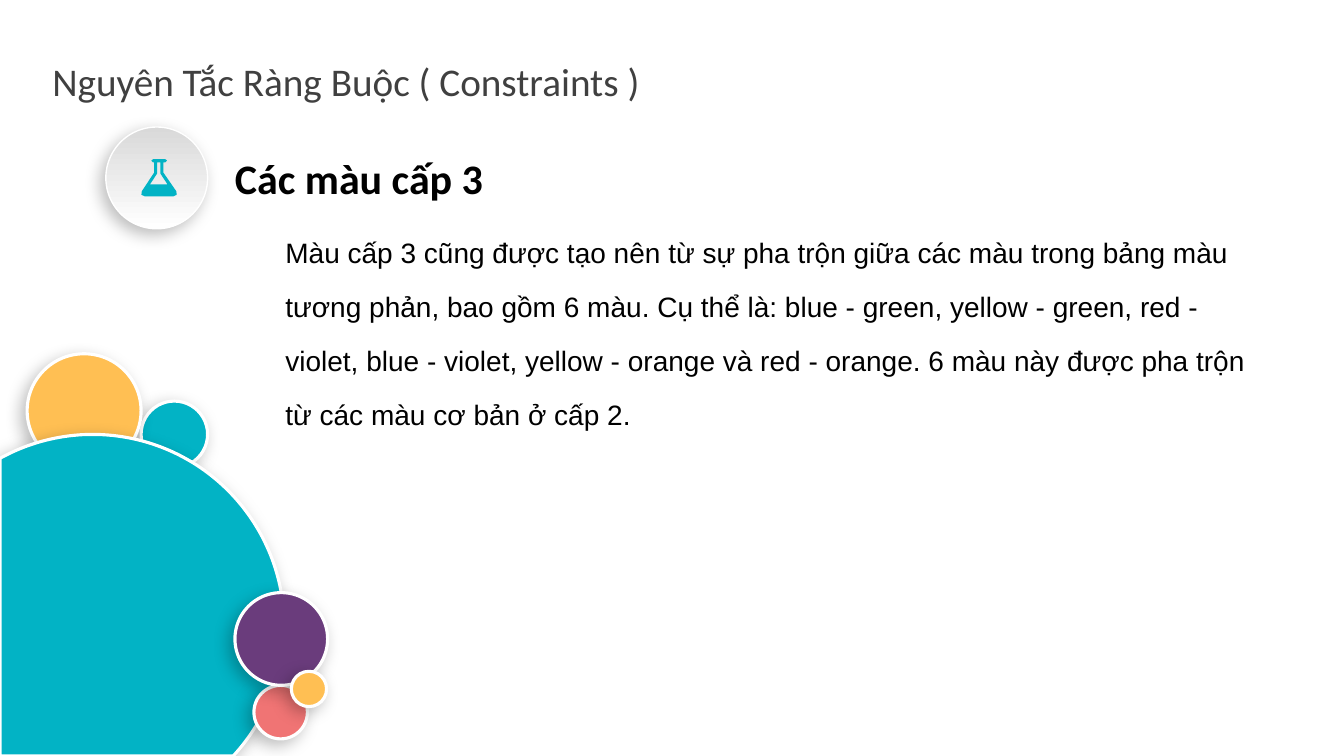
import math
from dataclasses import dataclass

from lxml import etree
from pptx import Presentation
from pptx.dml.color import RGBColor
from pptx.enum.shapes import MSO_SHAPE
from pptx.enum.text import MSO_ANCHOR, MSO_AUTO_SIZE, PP_ALIGN
from pptx.oxml.ns import qn
from pptx.util import Pt

OVAL = MSO_SHAPE.OVAL
TOP = MSO_ANCHOR.TOP
LEFT = PP_ALIGN.LEFT
NO_AUTOFIT = MSO_AUTO_SIZE.NONE
TITLE_AND_CONTENT = 1
SLIDE_W, SLIDE_H = 960, 540


@dataclass(frozen=True)
class Theme:
    """Colours, fonts and type sizes of the slide."""
    teal: str = "02B3C5"
    coral: str = "F07474"
    purple: str = "6A3C7C"
    amber: str = "FFBF53"
    white: str = "FFFFFF"
    silver: str = "D9D9D9"
    charcoal: str = "404040"
    black: str = "000000"
    heading_font: str = "Calibri"
    body_font: str = "Arial"
    title_size: float = 28
    heading_size: float = 30
    body_size: float = 20
    outline: float = 2.25
    thin_outline: float = 1


THEME = Theme()

TITLE = "Nguyên Tắc Ràng Buộc ( Constraints )"
HEADING = "Các màu cấp 3"
BODY = (
    "Màu cấp 3 cũng được tạo nên từ sự pha trộn giữa các màu trong bảng màu "
    "tương phản, bao gồm 6 màu. Cụ thể là: blue - green, yellow - green, "
    "red - violet, blue - violet, yellow - orange và red - orange. 6 màu này "
    "được pha trộn từ các màu cơ bản ở cấp 2."
)

# Flask outline and its hollow, in points from the icon's top left corner
FLASK_BODY = [(8.6, 0), (17.3, 0), (18.5, 1.1), (17.3, 2.3), (15.9, 2.3),
              (15.9, 9.6), (25.2, 23), (25.4, 25.5), (23, 26.6), (2.8, 26.6),
              (0.2, 25.5), (0.5, 23), (9.3, 9.6), (9.3, 2.3), (8.4, 2.3),
              (7.3, 1.1)]
FLASK_HOLLOW = [(6.4, 18), (11.5, 10.2), (11.5, 2.3), (13.7, 2.3),
                (13.7, 10.2), (18.8, 18)]


def color(code):
    """Turn a hex code into a colour."""
    return RGBColor.from_string(code)


def add_shadow(shape):
    """Give a shape a soft shadow towards the lower left."""
    shape.shadow.inherit = False
    effects = shape._element.spPr.find(qn("a:effectLst"))
    shadow = etree.SubElement(
        effects, qn("a:outerShdw"), blurRad=str(Pt(12)), dist=str(Pt(5)),
        dir=str(135 * 60000), algn="tr", rotWithShape="0")
    black = etree.SubElement(shadow, qn("a:srgbClr"), val=THEME.black)
    etree.SubElement(black, qn("a:alpha"), val="26000")


def style_bubble(bubble, fill, outline=THEME.outline):
    """Apply fill, white outline and shadow; a fill of None is left alone."""
    if fill:
        bubble.fill.solid()
        bubble.fill.fore_color.rgb = color(fill)
    bubble.line.color.rgb = color(THEME.white)
    bubble.line.width = Pt(outline)
    add_shadow(bubble)


def add_bubble(slide, left, top, size, fill, outline=THEME.outline):
    """Add a circle with a white outline."""
    bubble = slide.shapes.add_shape(OVAL, Pt(left), Pt(top), Pt(size), Pt(size))
    style_bubble(bubble, fill, outline)
    return bubble


def add_big_disc(slide, left, top, width, height):
    """Add a disc that the left and bottom edges of its box cut off."""
    radius = 136.8
    center_x, center_y = left + width - radius, top + radius
    right, bottom = left + width, top + height
    start = math.atan2(-math.sqrt(radius ** 2 - (left - center_x) ** 2),
                       left - center_x)
    end = math.asin((bottom - center_y) / radius)
    steps = 120
    angles = [start + (end - start) * i / steps for i in range(steps + 1)]
    arc = [(Pt(min(right, center_x + radius * math.cos(a))),
            Pt(center_y + radius * math.sin(a))) for a in angles]
    outline = slide.shapes.build_freeform(Pt(left), Pt(bottom))
    outline.add_line_segments(arc, close=True)
    style_bubble(outline.convert_to_shape(), THEME.teal)


def add_bubble_cluster(slide, left, top):
    """Add the corner decoration, from back to front."""
    add_bubble(slide, left + 100.8, top + 33.8, 47.5, THEME.teal)
    add_bubble(slide, left + 19.4, top, 81.4, THEME.amber)
    disc_top = top + 57.6
    add_big_disc(slide, left, disc_top, 203, SLIDE_H - disc_top)
    for x, y, size, fill in [(181.4, 236.9, 38.2, THEME.coral),
                             (167.8, 170.6, 66.2, THEME.purple),
                             (208.1, 226.8, 25.2, THEME.amber)]:
        add_bubble(slide, left + x, top + y, size, fill)


def add_flask_badge(slide, left, top, size):
    """Add the silver badge with the flask icon."""
    badge = add_bubble(slide, left, top, size, None, THEME.thin_outline)
    badge.fill.gradient()
    badge.fill.gradient_angle = 90
    for stop, position, tone in zip(badge.fill.gradient_stops, (0, 1),
                                    (THEME.white, THEME.silver)):
        stop.position = position
        stop.color.rgb = color(tone)

    def place(points):
        return [(Pt(left + 25.2 + x), Pt(top + 23 + y)) for x, y in points]

    body, hollow = place(FLASK_BODY), place(FLASK_HOLLOW)
    outline = slide.shapes.build_freeform(*body[0])
    outline.add_line_segments(body[1:], close=True)
    outline.move_to(*hollow[0])
    outline.add_line_segments(hollow[1:], close=True)
    flask = outline.convert_to_shape()
    flask.fill.solid()
    flask.fill.fore_color.rgb = color(THEME.teal)
    flask.line.fill.background()
    flask.shadow.inherit = False


def fill_text(holder, box, text, font, size, tone, bold=False, inset=0):
    """Place a text holder, fill it and return its paragraph."""
    holder.left, holder.top, holder.width, holder.height = map(Pt, box)
    frame = holder.text_frame
    frame.word_wrap = True
    frame.auto_size = NO_AUTOFIT
    frame.vertical_anchor = TOP
    frame.margin_left = frame.margin_right = Pt(2 * inset)
    frame.margin_top = frame.margin_bottom = Pt(inset)
    frame.text = text
    paragraph = frame.paragraphs[0]
    paragraph.alignment = LEFT
    run_font = paragraph.runs[0].font
    run_font.name, run_font.size, run_font.bold = font, Pt(size), bold
    run_font.color.rgb = color(tone)
    return paragraph


def add_title(slide, box):
    """Fill the title placeholder."""
    fill_text(slide.shapes.title, box, TITLE, THEME.heading_font,
              THEME.title_size, THEME.charcoal, inset=3.6)


def add_topic(slide, left, top):
    """Add the topic heading and the explanation below it."""
    heading = slide.shapes.add_textbox(0, 0, 0, 0)
    paragraph = fill_text(heading, (left, top, 217.4, 36), HEADING,
                          THEME.heading_font, THEME.heading_size, THEME.black,
                          bold=True)
    paragraph.space_before = Pt(6)
    paragraph = fill_text(slide.placeholders[1],
                          (left + 36, top + 45.4, 697.7, 154.8), BODY,
                          THEME.body_font, THEME.body_size, THEME.black)
    paragraph.space_before = Pt(4)
    paragraph.line_spacing = 1.6
    properties = paragraph._p.get_or_add_pPr()
    properties.set("marL", "0")
    properties.set("indent", "0")
    etree.SubElement(properties, qn("a:buNone"))


def main():
    """Build the slide and save it."""
    deck = Presentation()
    deck.slide_width, deck.slide_height = Pt(SLIDE_W), Pt(SLIDE_H)
    slide = deck.slides.add_slide(deck.slide_layouts[TITLE_AND_CONTENT])
    add_bubble_cluster(slide, 0, 252.7)
    add_title(slide, (30.2, 37.4, 437, 41))
    add_flask_badge(slide, 75.6, 90.7, 72.7)
    add_topic(slide, 167.8, 108.7)
    deck.save("out.pptx")


main()
